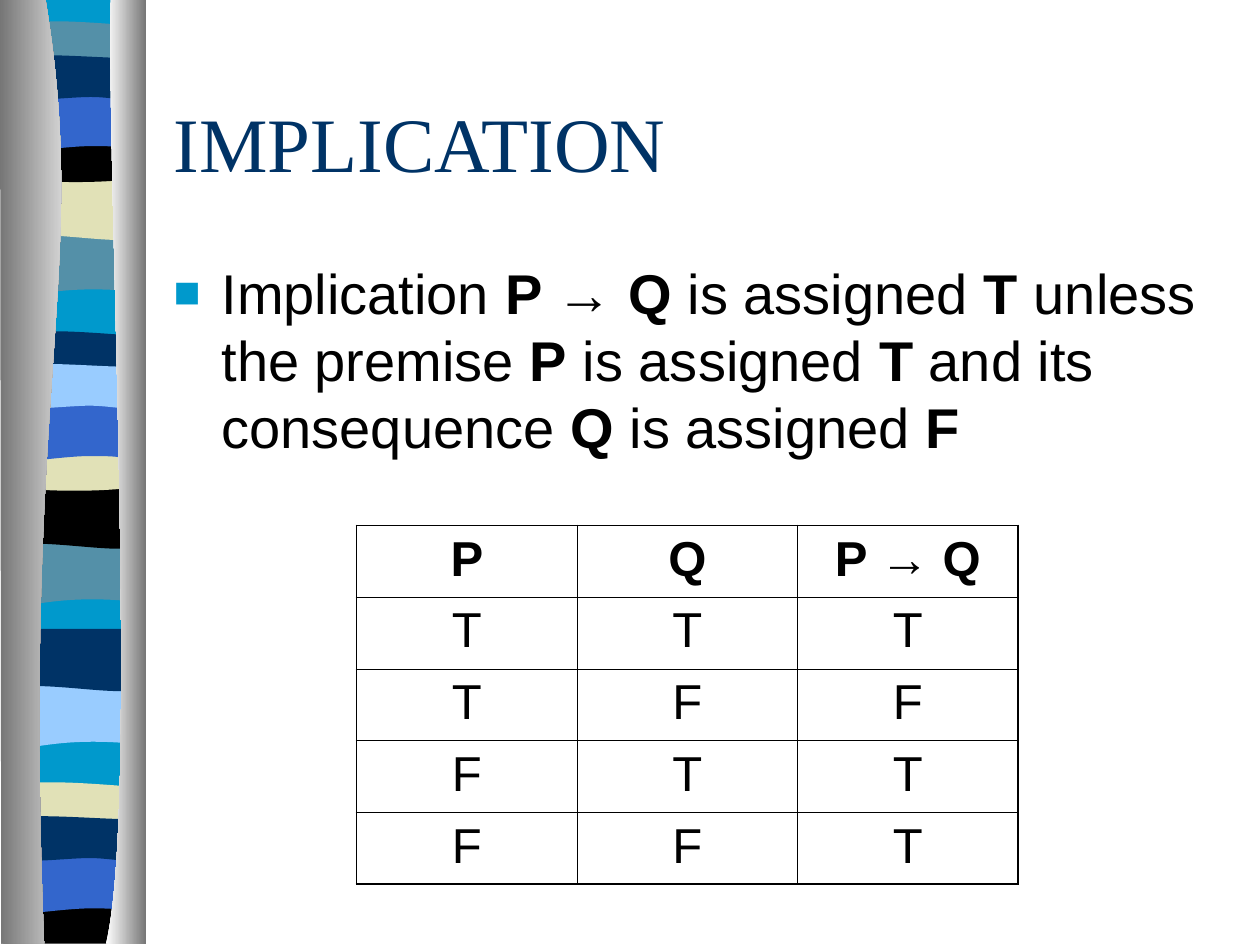
from lxml import etree
from pptx import Presentation
from pptx.dml.color import RGBColor
from pptx.enum import text
from pptx.oxml import ns
from pptx.util import Inches, Pt

COLORS = {
    "sky": "0099CC", "teal": "5490A8", "sand": "E1E1B7", "black": "000000",
    "blue": "3366CC", "navy": "003366", "pale": "99CCFF",
    "white": "FFFFFF", "gray": "767676",
}
WIDTH = 1.08

WAVES = {
    "dip": [(WIDTH, 0), (WIDTH, 0.47), (0.33, 0.39, 0.18, 0.55, 0, 0.47), (0, 0)],
    "crest": [(WIDTH, 0), (WIDTH, 0.47), (0.9, 0.55, 0.33, 0.41, 0, 0.47), (0, 0)],
    "ridge": [(WIDTH, 0), (WIDTH, 0.24), (0.9, 0.28, 0.18, 0.28, 0, 0.24), (0, 0),
              (0.06, -0.05, 0.23, -0.04, 0.41, -0.04), (0.59, -0.04, 0.94, -0.01, WIDTH, 0)],
    "bowl": [(WIDTH, 0), (WIDTH, 0.32), (0.9, 0.38, 0.18, 0.38, 0, 0.32), (0, 0),
             (0.66, 0.05, 0.85, 0, WIDTH, 0)],
    "base": [(WIDTH, 0), (WIDTH, 0.37), (0.01, 0.37), (0, 0),
             (0.66, 0.05, 0.85, 0, WIDTH, 0)],
    "arch": [(WIDTH, 0), (WIDTH, 0.47), (0.91, 0.42, 0.84, 0.42, 0.66, 0.42),
             (0.48, 0.42, 0.16, 0.47, 0, 0.47), (0, 0)],
    "swell": [(WIDTH, 0), (WIDTH, 0.31), (1.01, 0.36, 0.84, 0.31, 0.66, 0.31),
              (0.48, 0.31, 0.11, 0.36, 0, 0.31), (0, 0),
              (0.15, -0.05, 0.73, 0, 0.91, 0), (1.09, 0, 1.04, 0, WIDTH, 0)],
}
BANDS = [
    (0.06, [("dip", 1.85, "teal"), ("crest", 1.41, "sand"), ("ridge", 0.21, "teal"),
            ("bowl", 1.08, "black"), ("arch", 0.74, "blue"), ("swell", 0.46, "navy")]),
    (0.05, [("dip", 4.31, "teal"), ("crest", 3.86, "black"), ("ridge", 2.67, "navy"),
            ("bowl", 3.53, "sand"), ("arch", 3.2, "blue"), ("swell", 2.91, "pale")]),
    (0.06, [("dip", 5.44, "pale"), ("crest", 4.99, "navy")]),
    (0.05, [("ridge", 6.25, "sand"), ("base", 7.12, "black"), ("arch", 6.79, "blue"),
            ("swell", 6.5, "navy")]),
]
BACKDROP = [(WIDTH, 0), (WIDTH, 7.48), (0, 7.48), (0, 0)]
LEFT_PANEL = [(0.36, 0), (0.72, 2.17, 0.17, 2.97, 0.35, 7.5), (0.01, 7.5), (0, 0)]
RIGHT_PANEL = [(0.88, 0), (0.84, 1.26, 1.11, 6.47, 0.84, 7.5), (1.16, 7.5), (1.16, 0.01)]

STATEMENT = [
    ("Implication ", False), ("P → Q ", True), ("is assigned ", False), ("T", True),
    (" unless the premise ", False), ("P", True), (" is assigned ", False), ("T", True),
    (" and its consequence ", False), ("Q", True), (" is assigned ", False), ("F", True),
]
TRUTH_TABLE = [("P", "Q", "P → Q"), ("T", "T", "T"), ("T", "F", "F"),
               ("F", "T", "T"), ("F", "F", "T")]


def rgb(color):
    return RGBColor.from_string(COLORS[color])


class SlideWriter:
    def __init__(self, page):
        self.page = page

    def outline(self, left, top, segments, colors):
        groups = [[(Inches(left + x), Inches(top + y))
                   for x, y in zip(segment[::2], segment[1::2])] for segment in segments]
        builder = self.page.shapes.build_freeform(*groups[0][0], scale=1.0)
        builder.add_line_segments([point for group in groups[1:] for point in group], close=True)
        shape = builder.convert_to_shape()
        self.bend(shape, [len(group) for group in groups[1:]])
        shape.shadow.inherit = False
        shape.line.fill.background()
        if len(colors) == 1:
            shape.fill.solid()
            shape.fill.fore_color.rgb = rgb(colors[0])
            return
        shape.fill.gradient()
        shape.fill.gradient_angle = 0
        for stop, color in zip(shape.fill.gradient_stops, colors):
            stop.color.rgb = rgb(color)

    def bend(self, shape, counts):
        lines = iter(list(shape._element.iter(ns.qn("a:lnTo"))))
        for count in counts:
            group = [next(lines) for _ in range(count)]
            if count == 3:
                curve = etree.Element(ns.qn("a:cubicBezTo"))
                group[0].addprevious(curve)
                for line in group:
                    curve.append(line[0])
                    line.getparent().remove(line)

    def style(self, span, size, color="black", bold=False, name="Arial"):
        span.font.name = name
        span.font.size = Pt(size)
        span.font.bold = bold
        span.font.color.rgb = rgb(color)

    def text_box(self, left, top, width, height, anchor):
        box = self.page.shapes.add_textbox(
            Inches(left), Inches(top), Inches(width), Inches(height))
        box.text_frame.word_wrap = True
        box.text_frame.vertical_anchor = anchor
        return box.text_frame.paragraphs[0]

    def title(self, words):
        para = self.text_box(1.28, 0.5, 8.5, 1.25, text.MSO_ANCHOR.MIDDLE)
        para.text = words
        self.style(para.runs[0], 44, "navy", name="Times New Roman")

    def bullet(self, spans):
        para = self.text_box(1.28, 2, 8.5, 4.5, text.MSO_ANCHOR.TOP)
        properties = para._p.get_or_add_pPr()
        properties.set("marL", str(Inches(0.38)))
        properties.set("indent", str(-Inches(0.38)))
        color = etree.SubElement(properties, ns.qn("a:buClr"))
        etree.SubElement(color, ns.qn("a:srgbClr"), val=COLORS["sky"])
        etree.SubElement(properties, ns.qn("a:buSzPct"), val="80000")
        etree.SubElement(properties, ns.qn("a:buFont"), typeface="Arial")
        etree.SubElement(properties, ns.qn("a:buChar"), char="■")
        for words, bold in spans:
            span = para.add_run()
            span.text = words
            self.style(span, 32, bold=bold)

    def borders(self, cell, outer_sides):
        properties = cell._tc.get_or_add_tcPr()
        for side in ("L", "R", "T", "B"):
            width = Pt(1.08 if side in outer_sides else 0.45)
            line = etree.SubElement(properties, ns.qn(f"a:ln{side}"), w=str(width))
            fill = etree.SubElement(line, ns.qn("a:solidFill"))
            etree.SubElement(fill, ns.qn("a:srgbClr"), val=COLORS["black"])

    def table(self, rows):
        last_row, last_column = len(rows) - 1, len(rows[0]) - 1
        table = self.page.shapes.add_table(
            len(rows), len(rows[0]), Inches(2.83), Inches(4.17),
            Inches(5.25), Inches(0.57 * len(rows))).table
        for i, row in enumerate(rows):
            for j, words in enumerate(row):
                cell = table.cell(i, j)
                sides = {"L": j == 0, "R": j == last_column, "T": i == 0, "B": i == last_row}
                self.borders(cell, [side for side, outer in sides.items() if outer])
                cell.fill.background()
                cell.text_frame.text = words
                para = cell.text_frame.paragraphs[0]
                para.alignment = text.PP_ALIGN.CENTER
                self.style(para.runs[0], 28, bold=i == 0)


def main():
    deck = Presentation()
    deck.slide_width, deck.slide_height = Inches(10), Inches(7.5)
    writer = SlideWriter(deck.slides.add_slide(deck.slide_layouts[6]))
    writer.outline(0.06, -0.01, BACKDROP, ["sky"])
    for left, bands in BANDS:
        for wave, top, color in bands:
            writer.outline(left, top, WAVES[wave], [color])
    writer.outline(0, -0.01, LEFT_PANEL, ["gray", "white"])
    writer.outline(0, -0.01, RIGHT_PANEL, ["white", "gray"])
    writer.title("IMPLICATION")
    writer.bullet(STATEMENT)
    writer.table(TRUTH_TABLE)
    deck.save("out.pptx")


if __name__ == "__main__":
    main()
